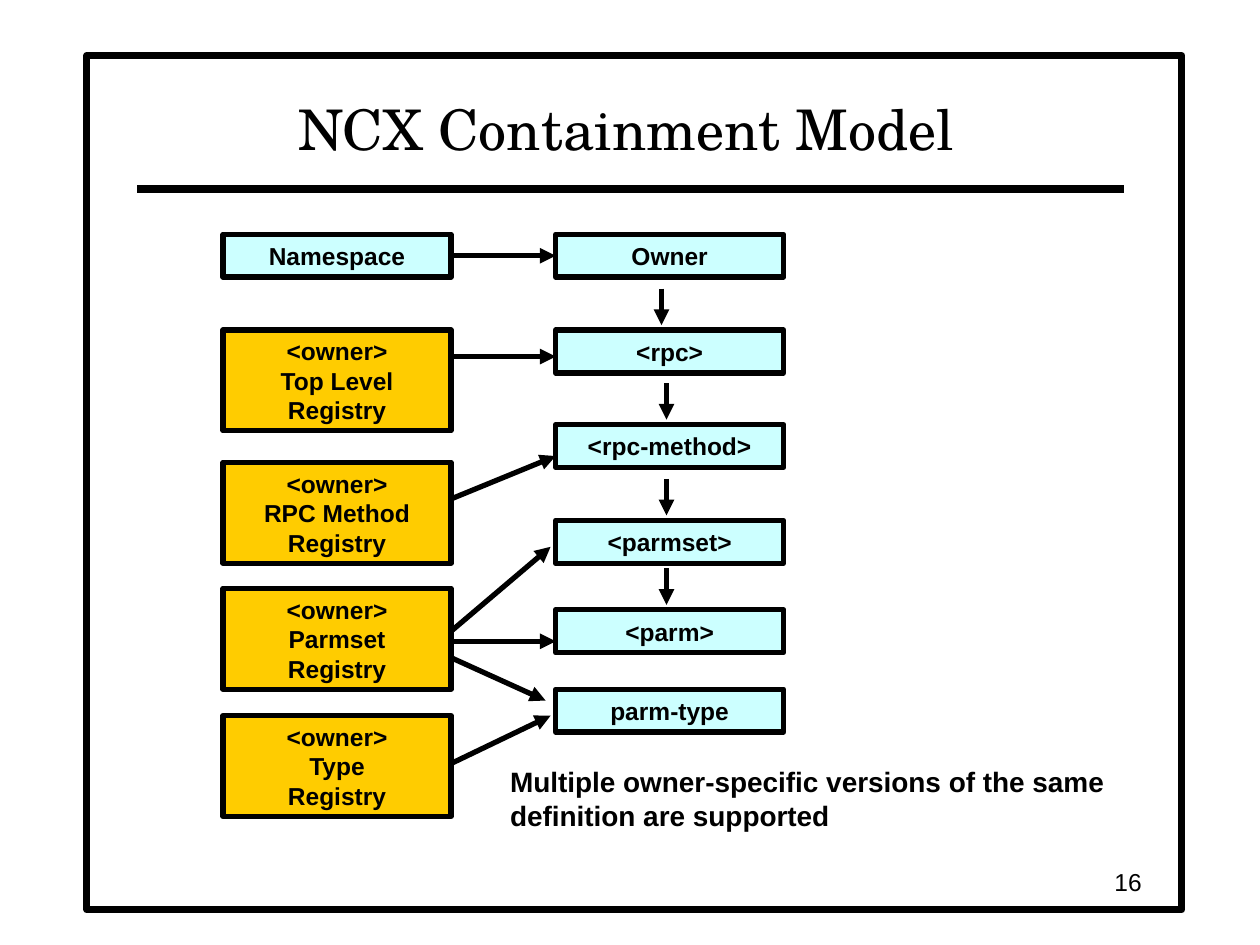
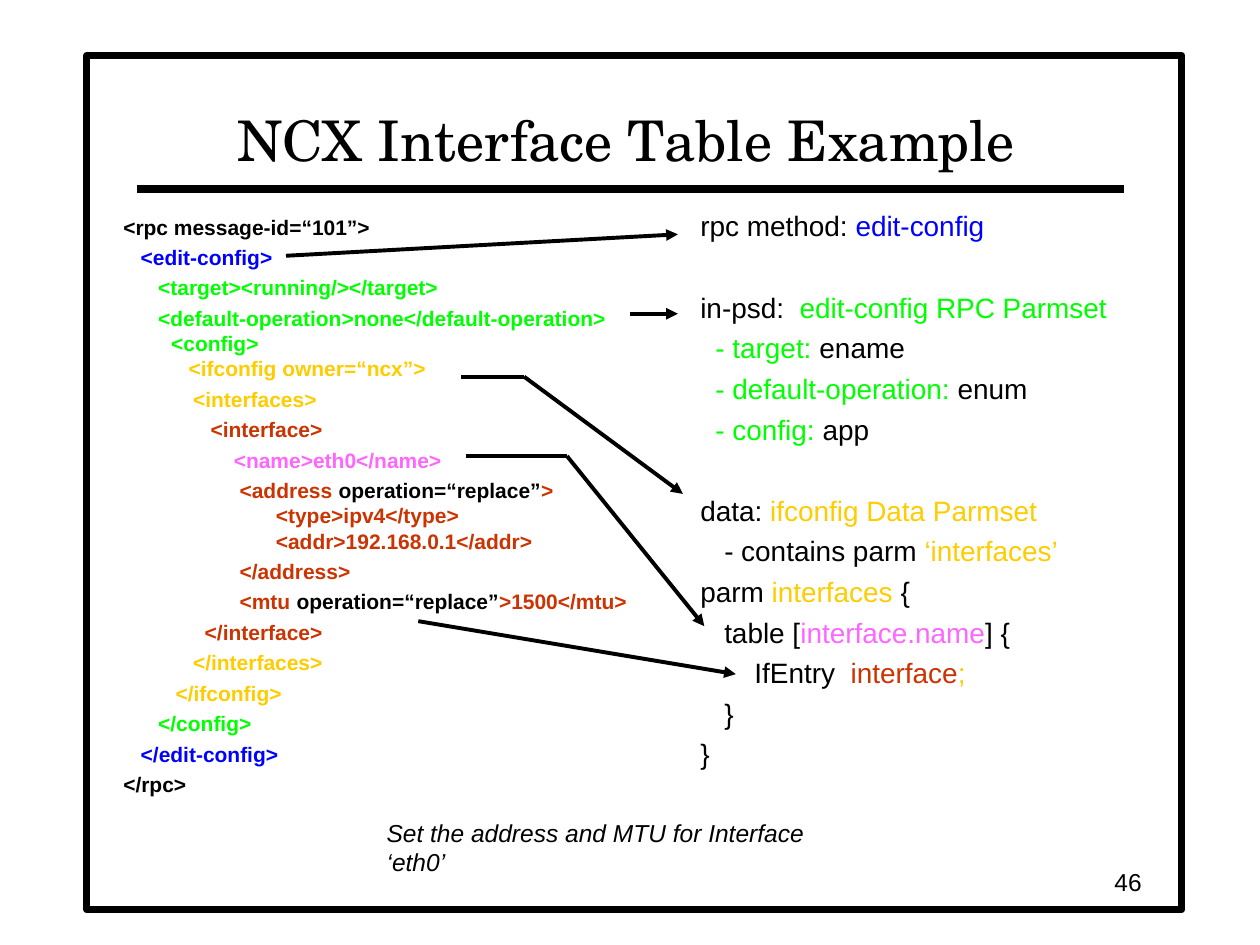
from itertools import pairwise

from lxml import etree
from pptx import Presentation
from pptx.dml.color import RGBColor
from pptx.enum.shapes import MSO_CONNECTOR as CONN, MSO_SHAPE as SHAPE
from pptx.enum.text import MSO_ANCHOR as ANCHOR, MSO_AUTO_SIZE as FIT, PP_ALIGN as ALIGN
from pptx.oxml.ns import qn
from pptx.util import Inches, Pt

BLACK, WHITE, BLUE, GREEN = "000000", "FFFFFF", "0000FF", "00FF00"
GOLD, RUST, PINK, CYAN = "FFCC00", "CC3300", "FF66FF", "CCFFFF"
SANS, SERIF = "Arial", "TeX Gyre Schola"
WIDTH, HEIGHT = 10, 7.5
TITLE_X, TITLE_W = 1.08, 7.79

STACK = [("Owner", 0), ("<rpc>", 0.76), ("<rpc-method>", 1.51),
         ("<parmset>", 2.27), ("<parm>", 2.98), ("parm-type", 3.61)]
REGISTRIES = [("Top Level", 0.76), ("RPC Method", 1.81), ("Parmset", 2.81), ("Type", 3.82)]
LINKS = [(0.17, 0.17, 0), (0.97, 0.97, 0), (2.1, 1.76, 0), (3.15, 2.48, 0.04),
         (3.23, 3.23, 0), (3.36, 3.7, 0.08), (4.2, 3.82, 0.04)]

REQUEST = [
    [("<rpc message-id=“101”>", BLACK)],
    [("   <edit-config>", BLUE)],
    [("      <target><running/></target>", GREEN)],
    [("      <default-operation>none</default-operation>\n<config>\n", GREEN),
     ("   <ifconfig owner=“ncx”>", GOLD)],
    [("            <interfaces>", GOLD)],
    [("               <interface>", RUST)],
    [("                   <name>eth0</name>", PINK)],
    [("                    <address ", RUST), ("operation=“replace”", BLACK),
     (">\n                  <type>ipv4</type>"
      "\n                  <addr>192.168.0.1</addr>", RUST)],
    [("                    </address>", RUST)],
    [("                    <mtu ", RUST), ("operation=“replace”", BLACK),
     (">1500</mtu>", RUST)],
    [("              </interface>", RUST)],
    [("            </interfaces>", GOLD)],
    [("         </ifconfig>", GOLD)],
    [("      </config>", GREEN)],
    [("   </edit-config>", BLUE)],
    [("</rpc>", BLACK)],
]
SCHEMA = [
    (0, [("rpc method: ", BLACK), ("edit-config", BLUE)]),
    (0, [("in-psd:  ", BLACK), ("edit-config RPC Parmset", GREEN)]),
    (0.12, [("- target: ", GREEN), ("ename", BLACK)]),
    (0.12, [("- default-operation: ", GREEN), ("enum", BLACK)]),
    (0.12, [("- config: ", GREEN), ("app", BLACK)]),
    (0, [("data: ", BLACK), ("ifconfig Data Parmset", GOLD)]),
    (0.19, [("- contains parm ", BLACK), ("‘interfaces’", GOLD)]),
    (0, [("parm ", BLACK), ("interfaces ", GOLD), ("{", BLACK)]),
    (0.19, [("table [", BLACK), ("interface.name", PINK), ("] {", BLACK)]),
    (0.43, [("IfEntry  ", BLACK), ("interface", RUST), (";", GOLD)]),
    (0.19, [("}", BLACK)]),
    (0, [("}", BLACK)]),
]
SECTION_STARTS = ("in-psd", "data")
MAPPINGS = [
    [(1.39, 0.38), (4.5, 0.21)],
    [(4.12, 0.84), (4.5, 0.84)],
    [(2.78, 1.34), (3.28, 1.34), (4.54, 2.27)],
    [(2.82, 1.97), (3.62, 1.97), (4.71, 3.32)],
    [(2.44, 3.28), (4.96, 3.7)],
]


def rgb(value):
    """Turn a hex string into a colour."""
    return RGBColor.from_string(value)


def inches(*values):
    """Turn inch values into lengths."""
    return [Inches(v) for v in values]


def style(p, size, color=BLACK, bold=False, italic=False, name=SANS, align=ALIGN.LEFT):
    """Set the font and alignment of a paragraph."""
    p.alignment = align
    f = p.font
    f.name, f.size, f.bold, f.italic = name, Pt(size), bold, italic
    f.color.rgb = rgb(color)


def add_text(s, box, text="", size=14, anchor=ANCHOR.TOP, wrap=True, **font):
    """Add a text box and return its frame."""
    tf = s.shapes.add_textbox(*inches(*box)).text_frame
    tf.word_wrap, tf.vertical_anchor = wrap, anchor
    if text:
        tf.text = text
        style(tf.paragraphs[0], size, **font)
    return tf


def add_line(s, start, end, width, arrow=False):
    """Draw a black line, with an arrowhead at its end if asked."""
    c = s.shapes.add_connector(CONN.STRAIGHT, *inches(*start, *end))
    c.line.color.rgb = rgb(BLACK)
    c.line.width = Pt(width)
    if arrow:
        etree.SubElement(c.line._get_or_add_ln(), qn("a:tailEnd"), type="triangle")
    etree.SubElement(c._element.spPr, qn("a:effectLst"))


def add_box(s, box, fill=None, width=3, text=""):
    """Draw a black-edged rectangle with a bold centred label."""
    sp = s.shapes.add_shape(SHAPE.RECTANGLE, *inches(*box))
    sp.shadow.inherit = False
    if fill:
        sp.fill.solid()
        sp.fill.fore_color.rgb = rgb(fill)
    else:
        sp.fill.background()
    sp.line.color.rgb = rgb(BLACK)
    sp.line.width = Pt(width)
    if text:
        p = sp.text_frame.paragraphs[0]
        p.text = text.replace("\n", "\v")
        style(p, 14, bold=True, align=ALIGN.CENTER)


def add_runs(p, runs):
    """Fill a paragraph with coloured runs, breaking lines at newlines."""
    for text, color in runs:
        for i, line in enumerate(text.split("\n")):
            if i:
                p.add_line_break()
            if line:
                r = p.add_run()
                r.text = line
                r.font.color.rgb = rgb(color)


def add_paragraphs(tf, rows, size, before, bold=False):
    """Yield a styled paragraph of the frame for each row of runs."""
    for i, runs in enumerate(rows):
        p = tf.add_paragraph() if i else tf.paragraphs[0]
        p.space_before = Pt(before if i else 0)
        add_runs(p, runs)
        style(p, size, bold=bold)
        yield p


def new_slide(prs, title, top, height, number):
    """Add a slide with its frame, rule, title and number."""
    s = prs.slides.add_slide(prs.slide_layouts[5])
    add_box(s, (0.69, 0.44, 8.69, 6.78), width=4)
    add_line(s, (1.09, 1.5), (8.92, 1.5), 4.5)
    sp = s.shapes.title
    sp.left, sp.top, sp.width, sp.height = inches(TITLE_X, top, TITLE_W, height)
    tf = sp.text_frame
    tf.text = title
    tf.auto_size, tf.vertical_anchor = FIT.NONE, ANCHOR.BOTTOM
    style(tf.paragraphs[0], 32, name=SERIF, align=ALIGN.CENTER)
    add_text(s, (7.08, 6.83, 2.08, 0.33), str(number), anchor=ANCHOR.MIDDLE,
             align=ALIGN.RIGHT)
    return s


def containment_diagram(s, x, y, w, pitch):
    """Draw registries in the left column, linked to the stack in the right one."""
    row, tall, right = 0.34, 0.8, x + pitch
    add_box(s, (x, y, w, row), CYAN, text="Namespace")
    for label, dy in STACK:
        add_box(s, (right, y + dy, w, row), CYAN, text=label)
    for name, dy in REGISTRIES:
        add_box(s, (x, y + dy, w, tall), GOLD, text=f"<owner>\n{name}\nRegistry")
    for i, (_, dy) in enumerate(STACK[1:-1]):
        mid, tip = right + (0.88 if i else 0.84), y + dy - 0.04
        add_line(s, (mid, tip - 0.29), (mid, tip), 3, arrow=True)
    for start, end, gap in LINKS:
        add_line(s, (x + w, y + start), (right - gap, y + end), 3, arrow=True)


def request_code(s, box):
    """Write the request message as code."""
    for p in add_paragraphs(add_text(s, box), REQUEST, 12, 3, bold=True):
        pPr = p._p.get_or_add_pPr()
        pPr.set("marL", str(Inches(0.38)))
        pPr.set("indent", str(Inches(-0.38)))


def schema_notes(s, box):
    """Write the definitions that the request draws on."""
    indents, rows = zip(*SCHEMA)
    paragraphs = add_paragraphs(add_text(s, box), rows, 16, 4)
    for p, indent in zip(paragraphs, indents):
        p._p.get_or_add_pPr().set("marL", str(Inches(indent)))
        if p.text.startswith(SECTION_STARTS):
            p.space_before = Pt(27.3)


def mapping_arrows(s, x, y):
    """Draw the paths from request lines to definitions."""
    for path in MAPPINGS:
        points = [(x + dx, y + dy) for dx, dy in path]
        for start, end in pairwise(points):
            add_line(s, start, end, 2.25, arrow=end == points[-1])


def containment_slide(prs):
    """Build the containment model slide."""
    s = new_slide(prs, "NCX Containment Model", 0.58, 0.75, 16)
    containment_diagram(s, 1.77, 1.86, 1.81, 2.64)
    add_text(s, (3.95, 6.02, 5.12, 0.64),
             "Multiple owner-specific versions of the same definition are supported",
             size=16, bold=True)


def interface_slide(prs):
    """Build the interface table example slide."""
    s = new_slide(prs, "NCX Interface Table Example", 0.5, 0.92, 46)
    schema_notes(s, (5.46, 1.61, 3.9, 5.17))
    request_code(s, (0.88, 1.65, 5.08, 5.17))
    mapping_arrows(s, 0.88, 1.65)
    add_text(s, (2.97, 6.44, 4.03, 0.34),
             "Set the address and MTU for Interface ‘eth0’", wrap=False, italic=True)


def main():
    """Build and save the deck."""
    prs = Presentation()
    prs.slide_width, prs.slide_height = inches(WIDTH, HEIGHT)
    containment_slide(prs)
    interface_slide(prs)
    prs.save("out.pptx")


if __name__ == "__main__":
    main()
